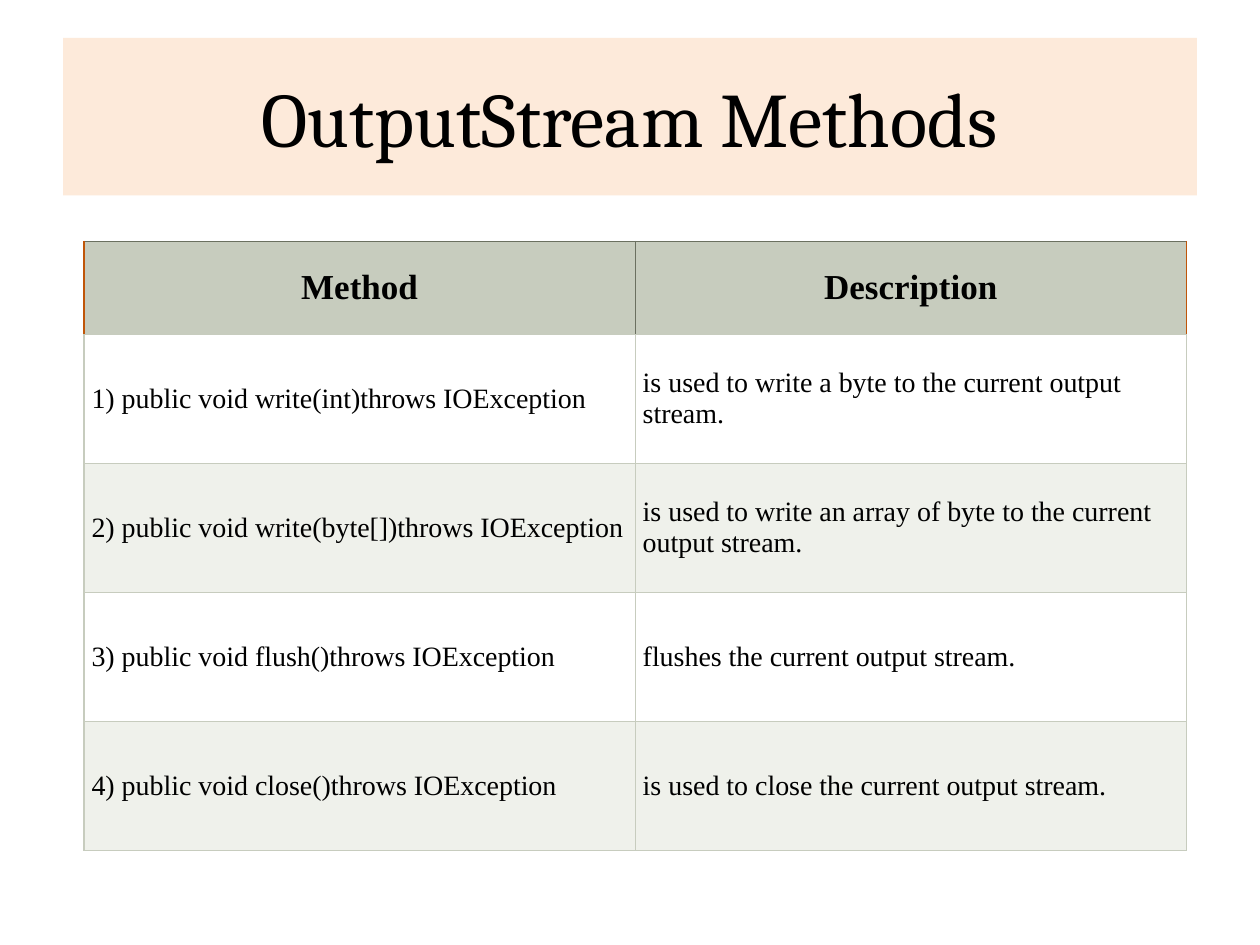
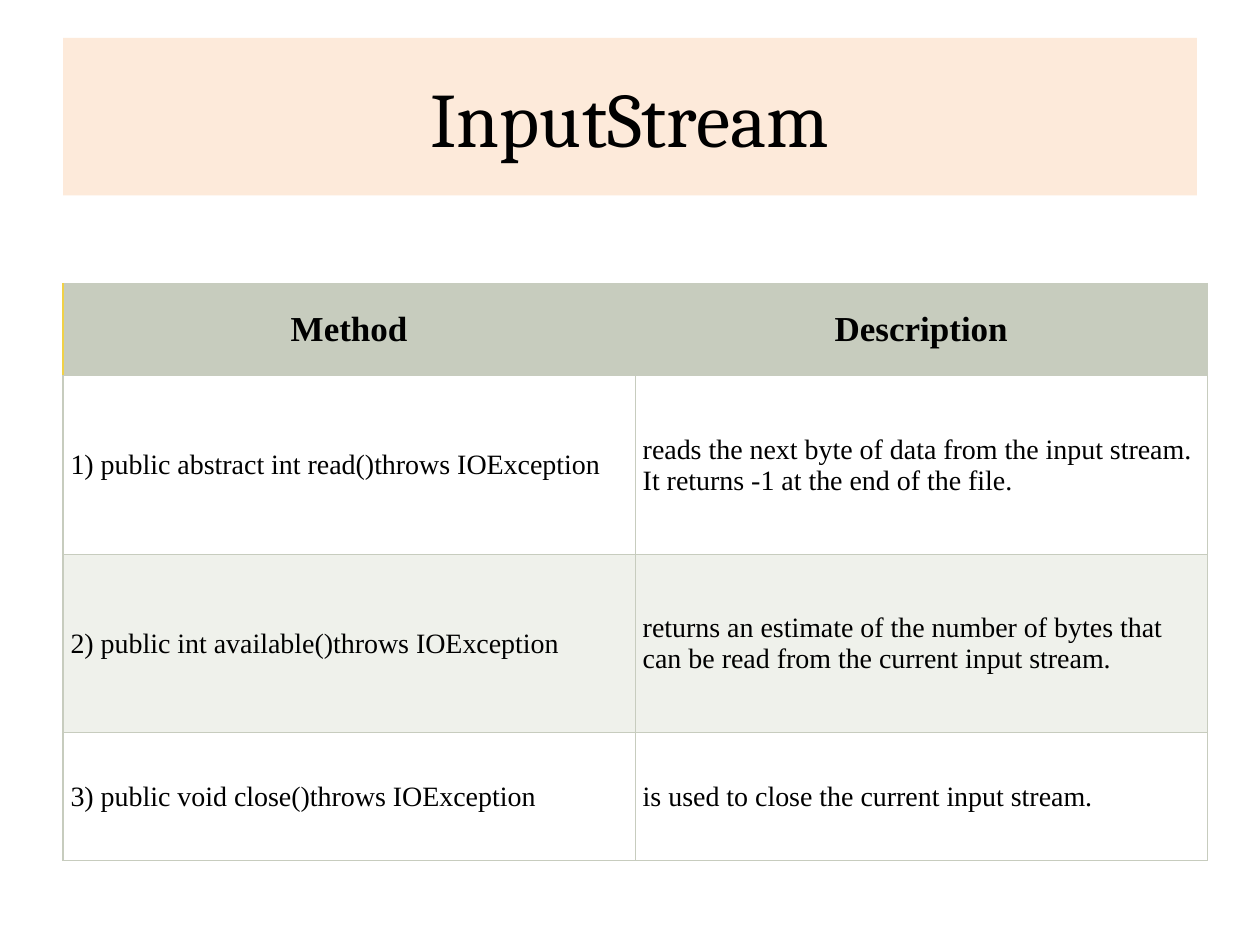
"""Build two slides of Java stream methods, each a title band over a table."""
from lxml.etree import SubElement
from pptx import Presentation
from pptx.dml.color import RGBColor
from pptx.enum.text import MSO_ANCHOR, PP_ALIGN
from pptx.oxml.ns import qn
from pptx.util import Inches, Pt

WIDTH, HEIGHT = Inches(10), Inches(7.5)
COLUMNS, ROWS = 120, 90
BLACK = RGBColor(0x00, 0x00, 0x00)
WHITE = RGBColor(0xFF, 0xFF, 0xFF)
PEACH = RGBColor(0xFD, 0xEA, 0xDA)
SAGE = RGBColor(0xC7, 0xCC, 0xBE)
PALE_SAGE = RGBColor(0xEF, 0xF1, 0xEB)
OLIVE = RGBColor(0x6B, 0x70, 0x60)
ORANGE = RGBColor(0xC0, 0x55, 0x08)
YELLOW = RGBColor(0xF0, 0xD1, 0x47)

TITLE_FONT = {"name": "Cambria", "size": Pt(44), "bold": False}
HEADER_FONT = {"name": "Times New Roman", "size": Pt(20), "bold": True}
BODY_FONT = {"name": "Times New Roman", "size": Pt(16), "bold": False}
SIDES = ("L", "R", "T", "B")
HEADINGS = ("Method", "Description")

OUTPUT_METHODS = [
    ("1) public void write(int)throws IOException",
     "is used to write a byte to the current output stream."),
    ("2) public void write(byte[])throws IOException",
     "is used to write an array of byte to the current output stream."),
    ("3) public void flush()throws IOException",
     "flushes the current output stream."),
    ("4) public void close()throws IOException",
     "is used to close the current output stream."),
]
INPUT_METHODS = [
    ("1) public abstract int read()throws IOException",
     "reads the next byte of data from the input stream. "
     "It returns -1 at the end of the file."),
    ("2) public int available()throws IOException",
     "returns an estimate of the number of bytes that can be read "
     "from the current input stream."),
    ("3) public void close()throws IOException",
     "is used to close the current input stream."),
]


def across(columns):
    """Return the width of a number of grid columns."""
    return int(WIDTH * columns / COLUMNS)


def down(rows):
    """Return the height of a number of grid rows."""
    return int(HEIGHT * rows / ROWS)


def set_values(target, values):
    """Set each named attribute on the target."""
    for name, value in values.items():
        setattr(target, name, value)


def write_text(frame, text, font, alignment):
    """Write one formatted paragraph into a text frame."""
    frame.text = text
    paragraph = frame.paragraphs[0]
    paragraph.alignment = alignment
    span = paragraph.runs[0]
    set_values(span.font, font)
    span.font.color.rgb = BLACK


def paint(target, color):
    """Give a shape or cell a solid fill."""
    target.fill.solid()
    target.fill.fore_color.rgb = color


def add_title(page, text):
    """Turn the title placeholder into the peach title band."""
    title = page.shapes.title
    set_values(title, {"left": across(6), "top": down(3.6),
                       "width": across(108), "height": down(15)})
    paint(title, PEACH)
    title.text_frame.vertical_anchor = MSO_ANCHOR.MIDDLE
    write_text(title.text_frame, text, TITLE_FONT, PP_ALIGN.CENTER)


def draw_borders(cell, colors):
    """Draw the four cell borders, ahead of the fill in the cell properties."""
    properties = cell._tc.get_or_add_tcPr()
    for position, side in enumerate(SIDES):
        line = SubElement(properties, qn(f"a:ln{side}"), w=str(Pt(0.75)))
        fill = SubElement(line, qn("a:solidFill"))
        SubElement(fill, qn("a:srgbClr"), val=str(colors.get(side, SAGE)))
        properties.insert(position, line)


def format_cell(cell, text, fill, font, alignment, margin, borders):
    """Fill, border and write one table cell."""
    write_text(cell.text_frame, text, font, alignment)
    sides = ("left", "right", "top", "bottom")
    set_values(cell, {f"margin_{side}": Inches(margin) for side in sides})
    cell.vertical_anchor = MSO_ANCHOR.MIDDLE
    paint(cell, fill)
    draw_borders(cell, borders)


def add_method_table(page, left, top, column_width, row_heights, methods, header_borders):
    """Add a method table with a heading row and alternating body rows."""
    frame = page.shapes.add_table(
        len(row_heights), len(HEADINGS), across(left), down(top),
        across(column_width * len(HEADINGS)), down(sum(row_heights)))
    table = frame.table
    set_values(table, {"first_row": False, "horz_banding": False})
    for column in table.columns:
        column.width = across(column_width)
    for row, height in zip(table.rows, row_heights):
        row.height = down(height)
    for cell, heading, borders in zip(table.rows[0].cells, HEADINGS, header_borders):
        format_cell(cell, heading, SAGE, HEADER_FONT, PP_ALIGN.CENTER, 0.09, borders)
    for number, method in enumerate(methods, start=1):
        fill = WHITE if number % 2 else PALE_SAGE
        for cell, text in zip(table.rows[number].cells, method):
            format_cell(cell, text, fill, BODY_FONT, PP_ALIGN.LEFT, 0.06, {})


def main():
    """Build and save the deck."""
    deck = Presentation()
    set_values(deck, {"slide_width": WIDTH, "slide_height": HEIGHT})
    output_borders = ({"L": ORANGE, "T": OLIVE, "R": OLIVE},
                      {"L": OLIVE, "T": OLIVE, "R": ORANGE})
    input_borders = ({"L": YELLOW}, {})
    slides = [
        ("OutputStream Methods", 8, 23, 52.5, [8.85] + [12.29] * 4,
         OUTPUT_METHODS, output_borders),
        ("InputStream", 6, 27, 54.5, [8.8, 17, 17, 12.2],
         INPUT_METHODS, input_borders),
    ]
    for title, *table in slides:
        page = deck.slides.add_slide(deck.slide_layouts.get_by_name("Title Only"))
        add_title(page, title)
        add_method_table(page, *table)
    deck.save("out.pptx")


if __name__ == "__main__":
    main()
